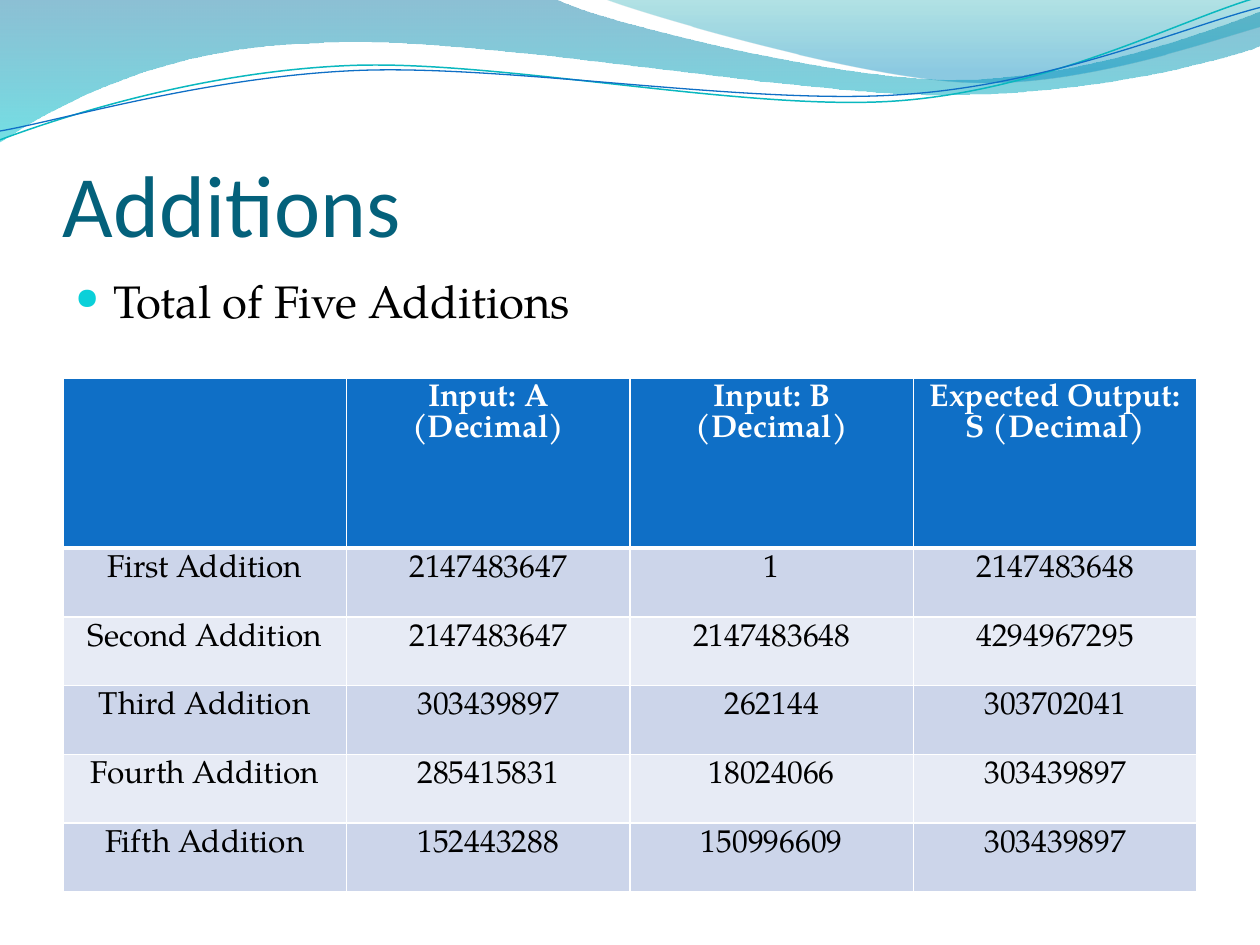
from dataclasses import dataclass
from math import cos, radians, sin
from lxml.etree import SubElement
from pptx import Presentation
from pptx.dml.color import RGBColor
from pptx.enum.text import MSO_ANCHOR, PP_ALIGN
from pptx.oxml.ns import qn
from pptx.util import Inches, Pt


@dataclass(frozen=True)
class Theme:
    head: str = "Calibri"
    body: str = "TeX Gyre Pagella"
    title: str = "04617B"
    ink: str = "000000"
    white: str = "FFFFFF"
    blue: str = "0F6FC6"
    teal: str = "0AB8BF"
    dot: str = "0BD0D9"
    bands: tuple = ("CCD5EA", "E7EBF5")
    big: int = 50
    mid: int = 26
    small: int = 18


THEME = Theme()
TILT = -2.7

BAND = [
    [(0, 0)], [(4.4, -0.01)],
    [(4.76, 0.17), (6.64, 0.63), (7.58, 0.63)],
    [(8.53, 0.63), (9.58, 0.26), (10, 0.09)],
    [(10.01, 0.36)],
    [(9.83, 0.44), (8.7, 0.76), (7.46, 0.75)],
    [(6.22, 0.75), (3.82, 0.28), (2.57, 0.34)],
    [(1.29, 0.36), (0.46, 0.83), (-0.01, 1.13)],
    [(0, 0)],
]
CREST = [
    [(4.79, -0.01)],
    [(5.09, 0.11), (6.82, 0.62), (7.69, 0.65)],
    [(8.56, 0.69), (9.61, 0.32), (10, 0.21)],
    [(10, 0)], [(4.79, -0.01)],
]
UPPER = [
    [(0, 1.11)],
    [(0.48, 0.93), (1.58, 0.57), (2.77, 0.52)],
    [(3.95, 0.47), (5.93, 0.89), (7.13, 0.8)],
    [(8.33, 0.71), (9.38, 0.15), (9.98, -0.02)],
]
LOWER = [
    [(0, 1.04)],
    [(0.47, 0.96), (1.64, 0.61), (2.83, 0.56)],
    [(4.03, 0.51), (5.97, 0.84), (7.17, 0.75)],
    [(8.36, 0.67), (9.41, 0.21), (10, 0.06)],
]
ROWS = [
    ("", "Input: A (Decimal)", "Input: B (Decimal)", "Expected Output: S (Decimal)"),
    ("First Addition", "2147483647", "1", "2147483648"),
    ("Second Addition", "2147483647", "2147483648", "4294967295"),
    ("Third Addition", "303439897", "262144", "303702041"),
    ("Fourth Addition", "285415831", "18024066", "303439897"),
    ("Fifth Addition", "152443288", "150996609", "303439897"),
]


def color(code):
    return RGBColor.from_string(code)


def style(font, name, size, code, bold=False):
    font.name, font.size, font.bold = name, Pt(size), bold
    font.color.rgb = color(code)


def turn(curve, hub, angle):
    c, s = cos(radians(angle)), sin(radians(angle))
    (a, b) = hub
    return [[(a + (x - a) * c - (y - b) * s, b + (x - a) * s + (y - b) * c)
             for x, y in part] for part in curve]


def outline(slide, box, curve, close):
    left, top = box[:2]
    start, *rest = [(Inches(left + x), Inches(top + y)) for part in curve for x, y in part]
    pen = slide.shapes.build_freeform(*start)
    pen.add_line_segments(rest, close=close)
    shape = pen.convert_to_shape()
    shape.shadow.inherit = False
    lines = iter(list(shape._element.iter(qn("a:lnTo"))))
    for part in curve[1:]:
        group = [next(lines) for _ in part]
        if len(group) == 3:
            bend = group[0]
            bend.tag = qn("a:cubicBezTo")
            for line in group[1:]:
                bend.append(line[0])
                line.getparent().remove(line)
    return shape


def add_waves(slide, box):
    washes = (
        (BAND, ((0, "0074A1", 45), (1, "00C6CF", 55))),
        (CREST, ((0, "00A1A9", 30), (0.8, "008BBF", 45))),
    )
    for curve, stops in washes:
        shape = outline(slide, box, curve, True)
        shape.line.fill.background()
        shape.fill.gradient()
        shape.fill.gradient_angle = 270
        for stop, (place, code, _) in zip(shape.fill.gradient_stops, stops):
            stop.position = place
            stop.color.rgb = color(code)
        marks = list(shape._element.spPr.iter(qn("a:srgbClr")))
        for mark, (_, _, alpha) in zip(marks, stops):
            SubElement(mark, qn("a:alpha"), val=str(alpha * 1000))
    strands = (
        (UPPER, (4.99, 0.58), THEME.teal, 0.85),
        (LOWER, (5, 0.59), THEME.blue, 0.75),
    )
    for curve, hub, code, width in strands:
        shape = outline(slide, box, turn(curve, hub, -TILT), False)
        shape.rotation = TILT
        shape.fill.background()
        shape.line.color.rgb = color(code)
        shape.line.width = Pt(width)


def add_text(slide, box, text):
    frame = slide.shapes.add_textbox(*map(Inches, box)).text_frame
    frame.word_wrap = True
    frame.text = text
    return frame


def add_title(slide, box):
    frame = add_text(slide, box, "Additions")
    frame.vertical_anchor = MSO_ANCHOR.BOTTOM
    frame.margin_left = frame.margin_right = frame.margin_bottom = 0
    style(frame.paragraphs[0].runs[0].font, THEME.head, THEME.big, THEME.title)


def add_point(slide, box):
    frame = add_text(slide, box, "Total of Five Additions")
    line = frame.paragraphs[0]
    props = line._p.get_or_add_pPr()
    props.set("marL", str(Inches(0.3)))
    props.set("indent", str(-Inches(0.3)))
    tint = SubElement(props, qn("a:buClr"))
    SubElement(tint, qn("a:srgbClr"), val=THEME.dot)
    SubElement(props, qn("a:buSzPct"), val="66000")
    SubElement(props, qn("a:buChar"), char="●")
    style(line.runs[0].font, THEME.body, THEME.mid, THEME.ink)


def add_edges(cell, row):
    props = cell._tc.get_or_add_tcPr()
    widths = {"L": 1, "R": 1, "T": 3 if row == 1 else 1, "B": 1 if row else 3}
    for side, width in widths.items():
        edge = SubElement(props, qn(f"a:ln{side}"), w=str(Pt(width)))
        fill = SubElement(edge, qn("a:solidFill"))
        SubElement(fill, qn("a:srgbClr"), val=THEME.white)


def add_grid(slide, box):
    count = len(ROWS[0])
    table = slide.shapes.add_table(len(ROWS), count, *map(Inches, box)).table
    for col in table.columns:
        col.width = Inches(box[2] / count)
    first = 1.35
    rest = (box[3] - first) / (len(ROWS) - 1)
    for r, texts in enumerate(ROWS):
        table.rows[r].height = Inches(rest if r else first)
        ink = THEME.ink if r else THEME.white
        for c, text in enumerate(texts):
            cell = table.cell(r, c)
            add_edges(cell, r)
            cell.fill.solid()
            cell.fill.fore_color.rgb = color(THEME.bands[(r - 1) % 2] if r else THEME.blue)
            cell.text_frame.text = text
            line = cell.text_frame.paragraphs[0]
            line.alignment = PP_ALIGN.CENTER
            for run in line.runs:
                style(run.font, THEME.body, THEME.small, ink, not r)


def main():
    deck = Presentation()
    deck.slide_width, deck.slide_height = Inches(10), Inches(7.5)
    slide = deck.slides.add_slide(deck.slide_layouts[6])
    add_waves(slide, (0, 0, 10, 1.13))
    add_title(slide, (0.5, 0.77, 9, 1.25))
    add_point(slide, (0.5, 2.12, 9, 0.72))
    add_grid(slide, (0.5, 3, 9, 4.08))
    deck.save("out.pptx")


if __name__ == "__main__":
    main()
